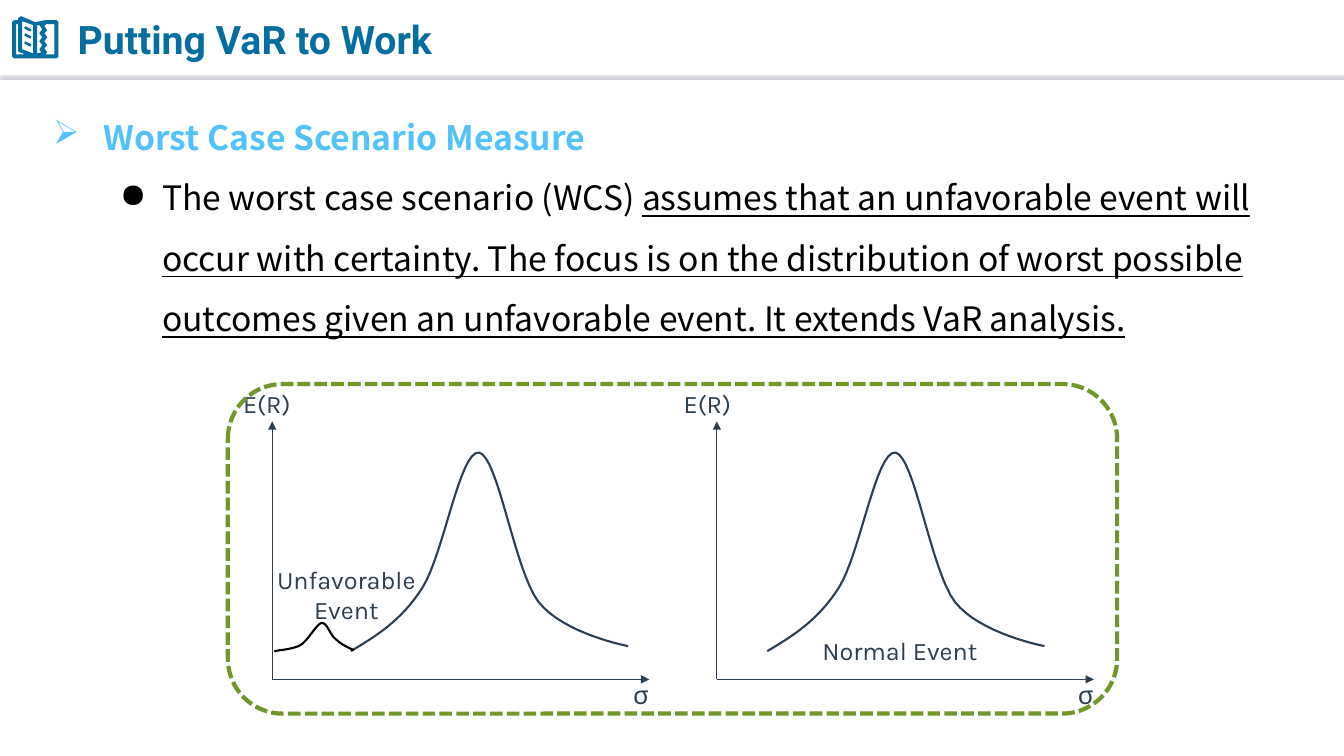
from dataclasses import dataclass

from lxml.etree import SubElement
from pptx import Presentation
from pptx.dml.color import RGBColor
from pptx.enum.dml import MSO_LINE
from pptx.enum.shapes import MSO_CONNECTOR, MSO_SHAPE
from pptx.enum.text import MSO_ANCHOR, PP_ALIGN
from pptx.oxml.ns import qn
from pptx.util import Inches, Pt


@dataclass(frozen=True)
class Theme:
    title: str = "056EA0"
    heading: str = "51C3F9"
    body: str = "000000"
    chart: str = "2C3E50"
    frame: str = "719629"
    rule: str = "FFFFFF"
    rule_shadow: str = "BCB4C4"
    title_font: str = "Roboto"
    body_font: str = "Noto Sans CJK SC"
    label_font: str = "Karla"
    title_size: int = 28
    body_size: int = 24
    label_size: int = 18
    body_line: float = 43.2


THEME = Theme()

# Content
TITLE = "Putting VaR to Work"
HEADING = "Worst Case Scenario Measure"
PLAIN = "The worst case scenario (WCS) "
UNDERLINED = (
    "assumes that an unfavorable event will occur with certainty. "
    "The focus is on the distribution of worst possible outcomes "
    "given an unfavorable event. It extends VaR analysis."
)
# Bell curve relative to its left end; each group of three is one Bezier step
BELL = [(0, 0), (0.25, -0.15), (0.5, -0.3), (0.71, -0.63),
        (0.92, -0.96), (1.08, -1.99), (1.27, -1.97),
        (1.46, -1.94), (1.62, -0.81), (1.86, -0.49),
        (2.11, -0.17), (2.75, -0.05), (2.75, -0.05)]
BUMP = [(3.51, 6.45), (3.44, 6.42), (3.38, 6.39), (3.33, 6.34),
        (3.27, 6.3), (3.25, 6.18), (3.19, 6.18),
        (3.14, 6.19), (3.06, 6.35), (2.98, 6.4),
        (2.91, 6.44), (2.77, 6.45), (2.72, 6.46)]
AXIS_BOTTOM, AXIS_TOP, AXIS_WIDTH, BELL_BASE = 6.74, 4.18, 3.74, 6.46
PLOTS = [
    {"axis": 2.7, "bell": 3.48, "y_label": 2.37,
     "event": ("Unfavorable Event", (2.65, 5.6, 1.57, 0.59), True)},
    {"axis": 7.11, "bell": 7.61, "y_label": 6.74,
     "event": ("Normal Event", (8.1, 6.26, 1.65, 0.39), False)},
]
# Book icon: outline, then its openings
ZIGZAG_LEFT = [(0.41, 0.52), (0.39, 0.49), (0.42, 0.45), (0.39, 0.41),
               (0.42, 0.37), (0.39, 0.33), (0.42, 0.29), (0.39, 0.25)]
ZIGZAG_RIGHT = [(0.46, 0.24), (0.44, 0.26), (0.47, 0.3), (0.44, 0.33),
                (0.47, 0.37), (0.44, 0.41), (0.47, 0.45), (0.44, 0.48),
                (0.47, 0.52), (0.45, 0.54)]
BOOK = [
    [(0.21, 0.16), (0.35, 0.22), (0.45, 0.2), (0.56, 0.2), (0.58, 0.22),
     (0.58, 0.56), (0.56, 0.58), (0.14, 0.58), (0.12, 0.56), (0.12, 0.22),
     (0.14, 0.2), (0.18, 0.2), (0.18, 0.18)],
    [(0.16, 0.24), (0.16, 0.54), (0.25, 0.54), (0.18, 0.51), (0.18, 0.24)],
    [(0.22, 0.21), (0.22, 0.49), (0.33, 0.53), (0.33, 0.25)],
    [(0.37, 0.25), (0.37, 0.53)] + ZIGZAG_LEFT,
    ZIGZAG_RIGHT + [(0.54, 0.54), (0.54, 0.24)],
] + [
    [(0.25, y), (0.31, y + 0.03), (0.31, y + 0.05), (0.29, y + 0.05),
     (0.24, y + 0.02)] for y in (0.26, 0.33, 0.41)
]


def color(code):
    return RGBColor.from_string(code)


def set_font(font, name, size, code, bold=False):
    font.name, font.size, font.bold = name, Pt(size), bold
    font.color.rgb = color(code)


def place(shape, *box):
    shape.left, shape.top, shape.width, shape.height = map(Inches, box)


def set_line(shape, code, width):
    shape.line.color.rgb = color(code)
    shape.line.width = Pt(width)


def add_line(start, end, code, arrow=False):
    line = slide.shapes.add_connector(
        MSO_CONNECTOR.STRAIGHT, *map(Inches, start + end))
    set_line(line, code, 0.75)
    properties = line._element.spPr
    if arrow:
        SubElement(properties.find(qn("a:ln")), qn("a:tailEnd"), type="triangle")
    return SubElement(properties, qn("a:effectLst"))


def add_outline(contours, closed):
    contours = [[(Inches(x), Inches(y)) for x, y in points] for points in contours]
    builder = slide.shapes.build_freeform(*contours[0][0])
    for index, points in enumerate(contours):
        if index:
            builder.move_to(*points[0])
        builder.add_line_segments(points[1:], close=closed)
    shape = builder.convert_to_shape()
    shape.shadow.inherit = False
    return shape


def add_curve(knots, code, steps=16):
    points = [knots[0]]
    for first in range(0, len(knots) - 1, 3):
        controls = knots[first:first + 4]
        for step in range(1, steps + 1):
            t = step / steps
            weights = ((1 - t) ** 3, 3 * t * (1 - t) ** 2, 3 * t * t * (1 - t), t ** 3)
            points.append(tuple(
                sum(w * p[axis] for w, p in zip(weights, controls)) for axis in (0, 1)))
    curve = add_outline([points], closed=False)
    curve.fill.background()
    set_line(curve, code, 1.5)


def add_label(text, box, wrap=False, align=PP_ALIGN.LEFT):
    frame = slide.shapes.add_textbox(*map(Inches, box)).text_frame
    frame.word_wrap = wrap
    frame.vertical_anchor = MSO_ANCHOR.MIDDLE
    frame.margin_left = frame.margin_right = Inches(0.04)
    frame.margin_top = frame.margin_bottom = Inches(0.04)
    para = frame.paragraphs[0]
    para.text, para.alignment = text, align
    set_font(para.font, THEME.label_font, THEME.label_size, THEME.chart)


def format_bullet(para, character, left, hanging):
    properties = para._p.get_or_add_pPr()
    properties.set("marL", str(Inches(left)))
    properties.set("indent", str(-Inches(hanging)))
    para.line_spacing = Pt(THEME.body_line)
    SubElement(properties, qn("a:buChar"), char=character)


deck = Presentation()
deck.slide_width, deck.slide_height = Inches(13.33), Inches(7.5)
slide = deck.slides.add_slide(deck.slide_layouts[5])

# Header: rule with a soft shadow, icon and title
effects = add_line((0, 0.73), (13.33, 0.73), THEME.rule)
shadow = SubElement(effects, qn("a:outerShdw"), blurRad=str(Pt(1)),
                    dist=str(Pt(3)), dir="5400000", algn="t", rotWithShape="0")
SubElement(shadow, qn("a:srgbClr"), val=THEME.rule_shadow)

icon = add_outline(BOOK, closed=True)
icon.fill.solid()
icon.fill.fore_color.rgb = color(THEME.title)
icon.line.fill.background()

title = slide.shapes.title
place(title, 0.67, 0.07, 7.36, 0.63)
title.text_frame.vertical_anchor = MSO_ANCHOR.MIDDLE
para = title.text_frame.paragraphs[0]
para.text, para.alignment = TITLE, PP_ALIGN.LEFT
set_font(para.font, THEME.title_font, THEME.title_size, THEME.title, bold=True)

# Body text
body = slide.shapes.add_textbox(*map(Inches, (0.43, 0.91, 12.47, 6.17))).text_frame
body.word_wrap = True
para = body.paragraphs[0]
para.text = HEADING
format_bullet(para, "➢", 0.5, 0.5)
set_font(para.font, THEME.body_font, THEME.body_size, THEME.heading, bold=True)
para = body.add_paragraph()
para.level = 1
format_bullet(para, "●", 1.08, 0.42)
set_font(para.font, THEME.body_font, THEME.body_size, THEME.body)
for text, underline in ((PLAIN, False), (UNDERLINED, True)):
    span = para.add_run()
    span.text = text
    set_font(span.font, THEME.body_font, THEME.body_size, THEME.body)
    span.font.underline = underline

# Distribution plots
for plot in PLOTS:
    origin = (plot["axis"], AXIS_BOTTOM)
    right = plot["axis"] + AXIS_WIDTH
    for end in ((right, AXIS_BOTTOM), (plot["axis"], AXIS_TOP)):
        add_line(origin, end, THEME.chart, arrow=True)
    add_label("E(R)", (plot["y_label"], 3.81, 0.59, 0.39))
    add_label("σ", (right - 0.2, 6.69, 0.24, 0.39))
    add_curve([(plot["bell"] + x, BELL_BASE + y) for x, y in BELL], THEME.chart)
    text, box, wrap = plot["event"]
    add_label(text, box, wrap, PP_ALIGN.CENTER)
add_curve(BUMP, THEME.body)

# Dashed frame around both plots
frame = slide.shapes.add_shape(
    MSO_SHAPE.ROUNDED_RECTANGLE, *map(Inches, (2.26, 3.81, 8.82, 3.27)))
frame.shadow.inherit = False
frame.fill.background()
set_line(frame, THEME.frame, 3)
frame.line.dash_style = MSO_LINE.SQUARE_DOT

deck.save("out.pptx")
